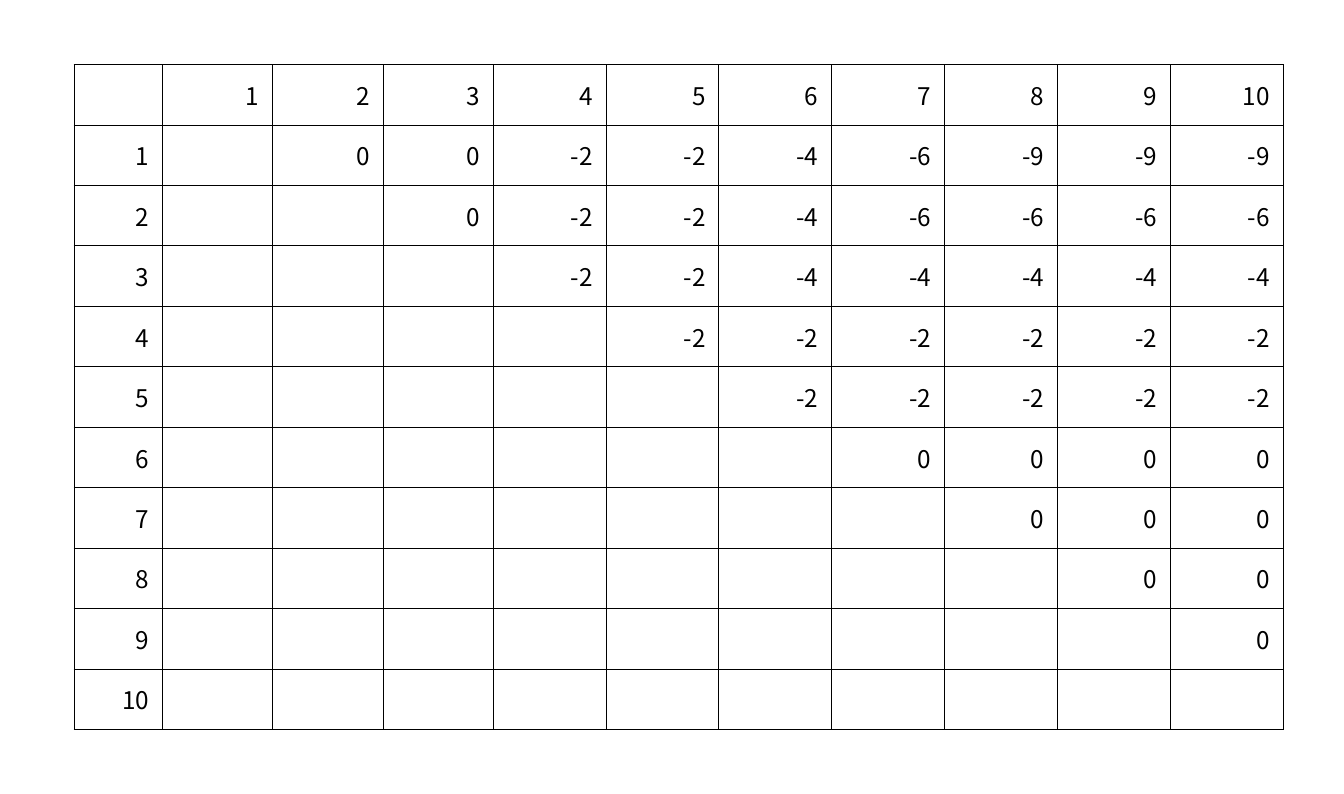
import dataclasses
import typing

import lxml.etree
import pptx
import pptx.dml.color
import pptx.enum.text
import pptx.oxml.ns
import pptx.table
import pptx.util

Inches = pptx.util.Inches


@dataclasses.dataclass(frozen=True)
class Theme:
    face: str = "Noto Sans CJK JP"
    size: float = 13
    ink: str = "000000"
    rule: float = 0.45


class Row(typing.NamedTuple):
    label: int
    scores: tuple[int, ...]


THEME = Theme()
COUNT = 10
LEFT, TOP = 0.55, 0.48
WIDTHS = [0.66] + [0.82] * 3 + [0.84] * 7
HEIGHT = 0.45
INDENT = Inches(0.38)

# Each row's scores fill the columns to the right of the diagonal.
ROWS = [
    Row(1, (0, 0, -2, -2, -4, -6, -9, -9, -9)),
    Row(2, (0, -2, -2, -4, -6, -6, -6, -6)),
    Row(3, (-2, -2, -4, -4, -4, -4, -4)),
    Row(4, (-2,) * 6),
    Row(5, (-2,) * 5),
] + [Row(label, (0,) * (COUNT - label)) for label in range(6, COUNT + 1)]


def add_rules(cell: pptx.table._Cell) -> None:
    """Draw a thin line on all four sides of the cell."""
    props = cell._tc.get_or_add_tcPr()
    qn = pptx.oxml.ns.qn
    for side in ("lnL", "lnR", "lnT", "lnB"):
        line = lxml.etree.SubElement(
            props, qn(f"a:{side}"), w=str(pptx.util.Pt(THEME.rule))
        )
        fill = lxml.etree.SubElement(line, qn("a:solidFill"))
        lxml.etree.SubElement(fill, qn("a:srgbClr"), val=THEME.ink)


def fill_cell(cell: pptx.table._Cell, text: str) -> None:
    add_rules(cell)
    cell.fill.background()
    cell.vertical_anchor = pptx.enum.text.MSO_ANCHOR.MIDDLE
    cell.margin_left = cell.margin_right = Inches(0.1)
    cell.margin_top = cell.margin_bottom = Inches(0.05)
    cell.text = text
    para = cell.text_frame.paragraphs[0]
    para.alignment = pptx.enum.text.PP_ALIGN.RIGHT
    props = para._p.get_or_add_pPr()
    props.set("marL", str(INDENT))
    props.set("indent", str(-INDENT))
    para.font.name = THEME.face
    para.font.size = pptx.util.Pt(THEME.size)
    para.font.color.rgb = pptx.dml.color.RGBColor.from_string(THEME.ink)


def make_grid() -> list[list[str]]:
    grid = [[""] + [str(label) for label in range(1, COUNT + 1)]]
    for row in ROWS:
        blanks = [""] * row.label
        grid.append([str(row.label)] + blanks + [str(score) for score in row.scores])
    return grid


def main() -> None:
    deck = pptx.Presentation()
    deck.slide_width, deck.slide_height = Inches(10), Inches(5.91)
    slide = deck.slides.add_slide(deck.slide_layouts[6])

    grid = make_grid()
    table = slide.shapes.add_table(
        len(grid), len(WIDTHS), Inches(LEFT), Inches(TOP),
        Inches(sum(WIDTHS)), Inches(HEIGHT * len(grid)),
    ).table
    table.first_row = table.horz_banding = False
    for column, width in zip(table.columns, WIDTHS):
        column.width = Inches(width)
    for row, texts in zip(table.rows, grid):
        row.height = Inches(HEIGHT)
        for cell, text in zip(row.cells, texts):
            fill_cell(cell, text)

    deck.save("out.pptx")


if __name__ == "__main__":
    main()
